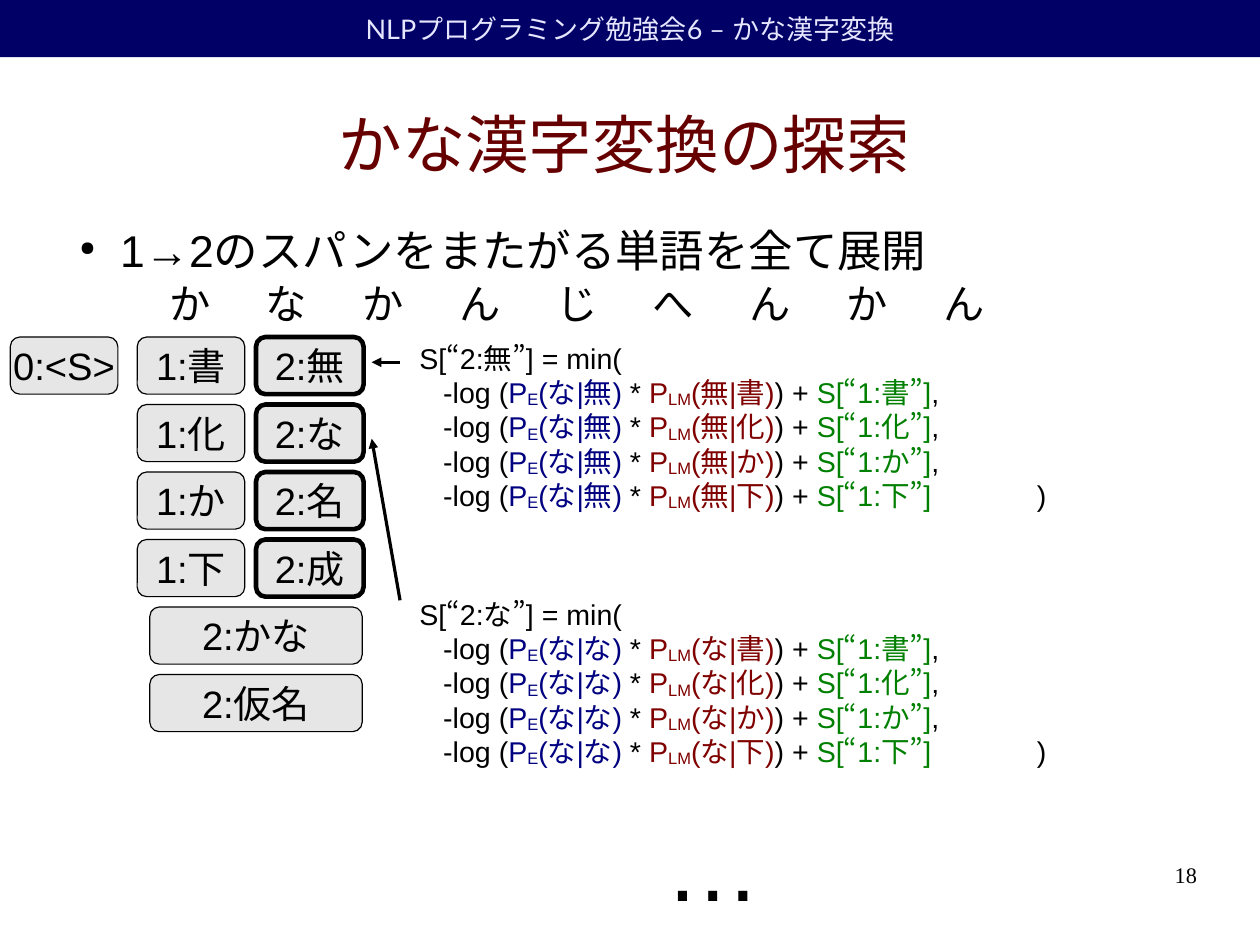
from dataclasses import dataclass

from lxml.etree import SubElement
from pptx import Presentation
from pptx.dml.color import RGBColor
from pptx.enum.lang import MSO_LANGUAGE_ID
from pptx.enum.shapes import MSO_CONNECTOR, MSO_SHAPE
from pptx.enum.text import MSO_ANCHOR, PP_ALIGN
from pptx.oxml.ns import qn
from pptx.util import Cm, Pt

COLORS = {
    "black": "000000", "navy": "000066", "pale": "E6E6FF", "title": "660000",
    "node": "E6E6E6", "emission": "000080", "language": "800000", "score": "008000",
}
TOP, ROW_PITCH, NODE_H = 7.49, 1.5, 1.27
NODE_W, WIDE_W = 2.39, 4.72
START_X, FIRST_X, SECOND_X, WIDE_X = 0.23, 3.05, 5.69, 3.33
KANA = "かなかんじへんかん"
KANA_PITCH = 2.15
FIRST_WORDS = "書化か下"
SECOND_WORDS = "無な名成"


@dataclass
class Label:
    text: str
    x: float
    y: float
    w: float
    h: float
    size: float
    color: str = "black"
    font: str = "Arial"
    align: PP_ALIGN = PP_ALIGN.LEFT
    anchor: MSO_ANCHOR = MSO_ANCHOR.TOP
    inset: tuple[float, float] = (0.25, 0.13)
    tabs: tuple[float, ...] = ()


@dataclass
class Node:
    text: str
    x: float
    row: int
    w: float = NODE_W
    line: float = 0


@dataclass
class Formula:
    word: str
    y: float


@dataclass
class Arrow:
    x1: float
    y1: float
    x2: float
    y2: float


def rgb(name: str) -> RGBColor:
    return RGBColor.from_string(COLORS[name])


def style(r, size: float, color: str = "black", font: str = "Arial") -> None:
    r.font.size = Pt(size)
    r.font.name = font
    r.font.color.rgb = rgb(color)
    r.font.language_id = MSO_LANGUAGE_ID.JAPANESE


def add_tabs(p, stops: tuple[float, ...]) -> None:
    tab_list = SubElement(p._p.get_or_add_pPr(), qn("a:tabLst"))
    for stop in stops:
        SubElement(tab_list, qn("a:tab"), pos=str(Cm(stop)), algn="l")


def add_bullet(p) -> None:
    pPr = p._p.get_or_add_pPr()
    pPr.set("marL", str(Cm(1.2)))
    pPr.set("indent", str(Cm(-0.9)))
    bullet_color = SubElement(pPr, qn("a:buClr"))
    SubElement(bullet_color, qn("a:srgbClr"), val=COLORS["black"])
    SubElement(pPr, qn("a:buSzPct"), val="45000")
    SubElement(pPr, qn("a:buChar"), char="●")


def add_label(s, label: Label):
    sp = s.shapes.add_textbox(Cm(label.x), Cm(label.y), Cm(label.w), Cm(label.h))
    tf = sp.text_frame
    tf.word_wrap = True
    tf.vertical_anchor = label.anchor
    tf.margin_left = tf.margin_right = Cm(label.inset[0])
    tf.margin_top = tf.margin_bottom = Cm(label.inset[1])
    p = tf.paragraphs[0]
    p.text = label.text
    p.alignment = label.align
    if label.tabs:
        add_tabs(p, label.tabs)
    for r in p.runs:
        style(r, label.size, label.color, label.font)
    return sp


def add_node(s, node: Node) -> None:
    sp = s.shapes.add_shape(MSO_SHAPE.ROUNDED_RECTANGLE, Cm(node.x),
                            Cm(TOP + node.row * ROW_PITCH), Cm(node.w), Cm(NODE_H))
    sp.shadow.inherit = False
    sp.fill.solid()
    sp.fill.fore_color.rgb = rgb("node")
    sp.line.color.rgb = rgb("black")
    sp.line.width = Pt(node.line)
    tf = sp.text_frame
    tf.word_wrap = False
    tf.vertical_anchor = MSO_ANCHOR.MIDDLE
    p = tf.paragraphs[0]
    p.text = node.text
    p.alignment = PP_ALIGN.CENTER
    style(p.runs[0], 24)


def add_formula(s, formula: Formula) -> None:
    word = formula.word
    sp = add_label(s, Label(f"S[“2:{word}”] = min(", 9.07, formula.y, 15.44, 5.41, 18))
    for previous in FIRST_WORDS:
        p = sp.text_frame.add_paragraph()
        add_tabs(p, (0.53, 13.72))
        parts = (
            ("\t-log (", "black", False),
            ("P", "emission", False), ("E", "emission", True),
            (f"(な|{word})", "emission", False), (" * ", "black", False),
            ("P", "language", False), ("LM", "language", True),
            (f"({word}|{previous})", "language", False), (") + ", "black", False),
            (f"S[“1:{previous}”]", "score", False),
            ("\t)" if previous == FIRST_WORDS[-1] else ",", "black", False),
        )
        for text, color, lowered in parts:
            r = p.add_run()
            r.text = text
            style(r, 18, color)
            if lowered:
                r._r.get_or_add_rPr().set("baseline", "-8000")


def add_arrow(s, arrow: Arrow) -> None:
    cx = s.shapes.add_connector(MSO_CONNECTOR.STRAIGHT, Cm(arrow.x1), Cm(arrow.y1),
                                Cm(arrow.x2), Cm(arrow.y2))
    cx.line.color.rgb = rgb("black")
    cx.line.width = Pt(0)
    SubElement(cx.line._get_or_add_ln(), qn("a:tailEnd"), type="triangle")
    SubElement(cx._element.spPr, qn("a:effectLst"))


def main() -> None:
    """Build the kana-kanji conversion search slide."""
    prs = Presentation()
    prs.slide_width, prs.slide_height = Cm(28), Cm(21)
    s = prs.slides.add_slide(prs.slide_layouts[6])

    header = add_label(s, Label("NLPプログラミング勉強会6 – かな漢字変換", 0, 0, 28, 1.27, 17,
                                "pale", "Lato", PP_ALIGN.CENTER, MSO_ANCHOR.MIDDLE))
    header.fill.solid()
    header.fill.fore_color.rgb = rgb("navy")
    add_label(s, Label("かな漢字変換の探索", 1.27, 1.57, 25.2, 3.23, 40, "title",
                       align=PP_ALIGN.CENTER, anchor=MSO_ANCHOR.MIDDLE, inset=(0, 0)))
    body = add_label(s, Label("1→2のスパンをまたがる単語を全て展開", 1.47, 4.95, 25.2, 1.42,
                              28, inset=(0, 0)))
    add_bullet(body.text_frame.paragraphs[0])
    stops = tuple(round(KANA_PITCH * i, 2) for i in range(1, len(KANA)))
    add_label(s, Label("\t".join(KANA), 3.51, 6.05, 22.78, 1.32, 26, tabs=stops))

    nodes = [Node("0:<S>", START_X, 0)]
    for row, (first, second) in enumerate(zip(FIRST_WORDS, SECOND_WORDS)):
        nodes += [Node(f"1:{first}", FIRST_X, row),
                  Node(f"2:{second}", SECOND_X, row, line=2.89)]
    for row, word in enumerate(("かな", "仮名"), len(FIRST_WORDS)):
        nodes.append(Node(f"2:{word}", WIDE_X, row, WIDE_W))
    for node in nodes:
        add_node(s, node)

    for formula in (Formula("無", 7.44), Formula("な", 13.13)):
        add_formula(s, formula)
    for arrow in (Arrow(8.89, 8.05, 8.26, 8.05), Arrow(8.89, 13.34, 8.26, 9.75)):
        add_arrow(s, arrow)
    add_label(s, Label("…", 14.53, 17.78, 2.62, 2.62, 60))
    add_label(s, Label("18", 20.07, 19.13, 6.53, 1.45, 14, font="Times New Roman",
                       align=PP_ALIGN.RIGHT, inset=(0, 0)))
    prs.save("out.pptx")


if __name__ == "__main__":
    main()
